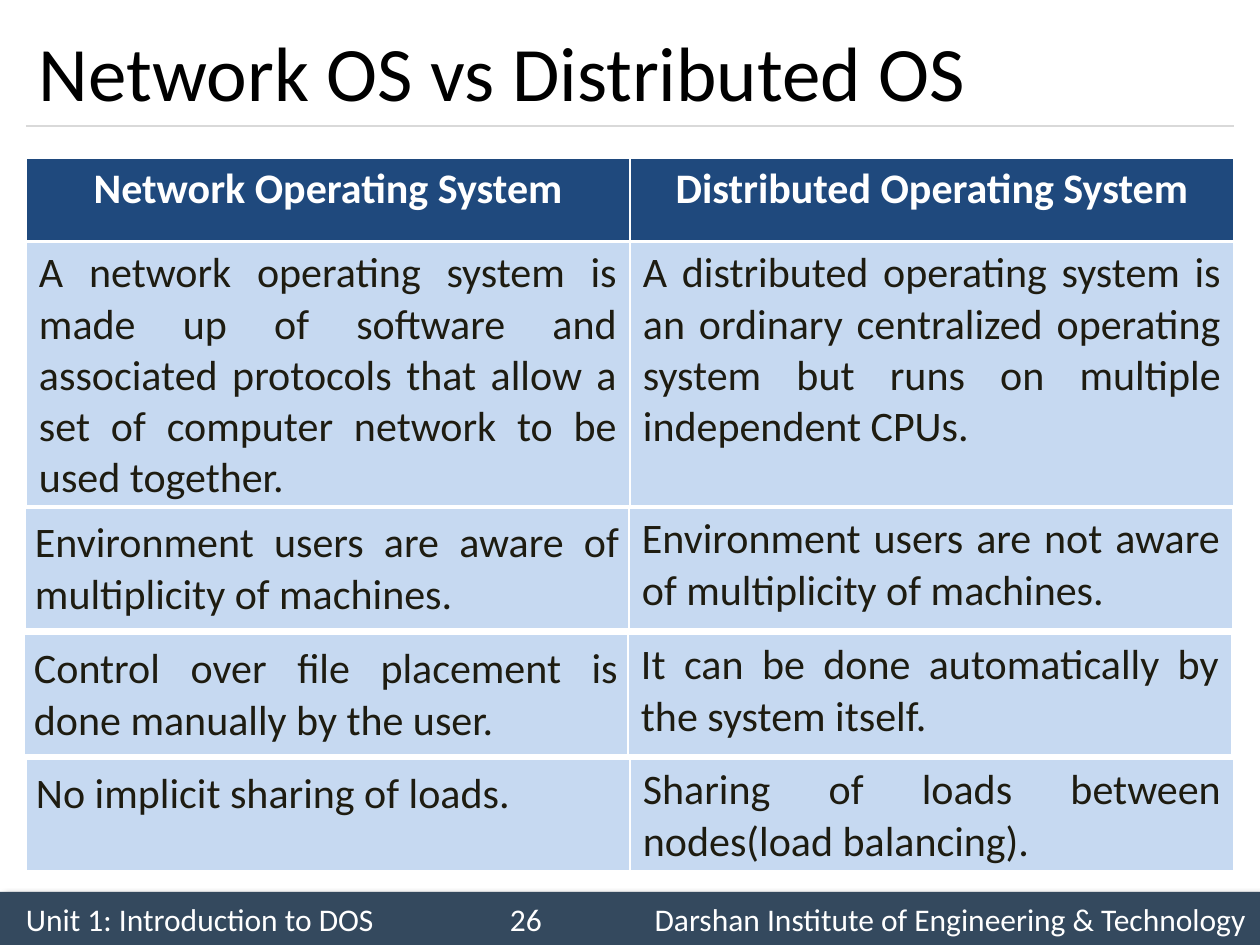
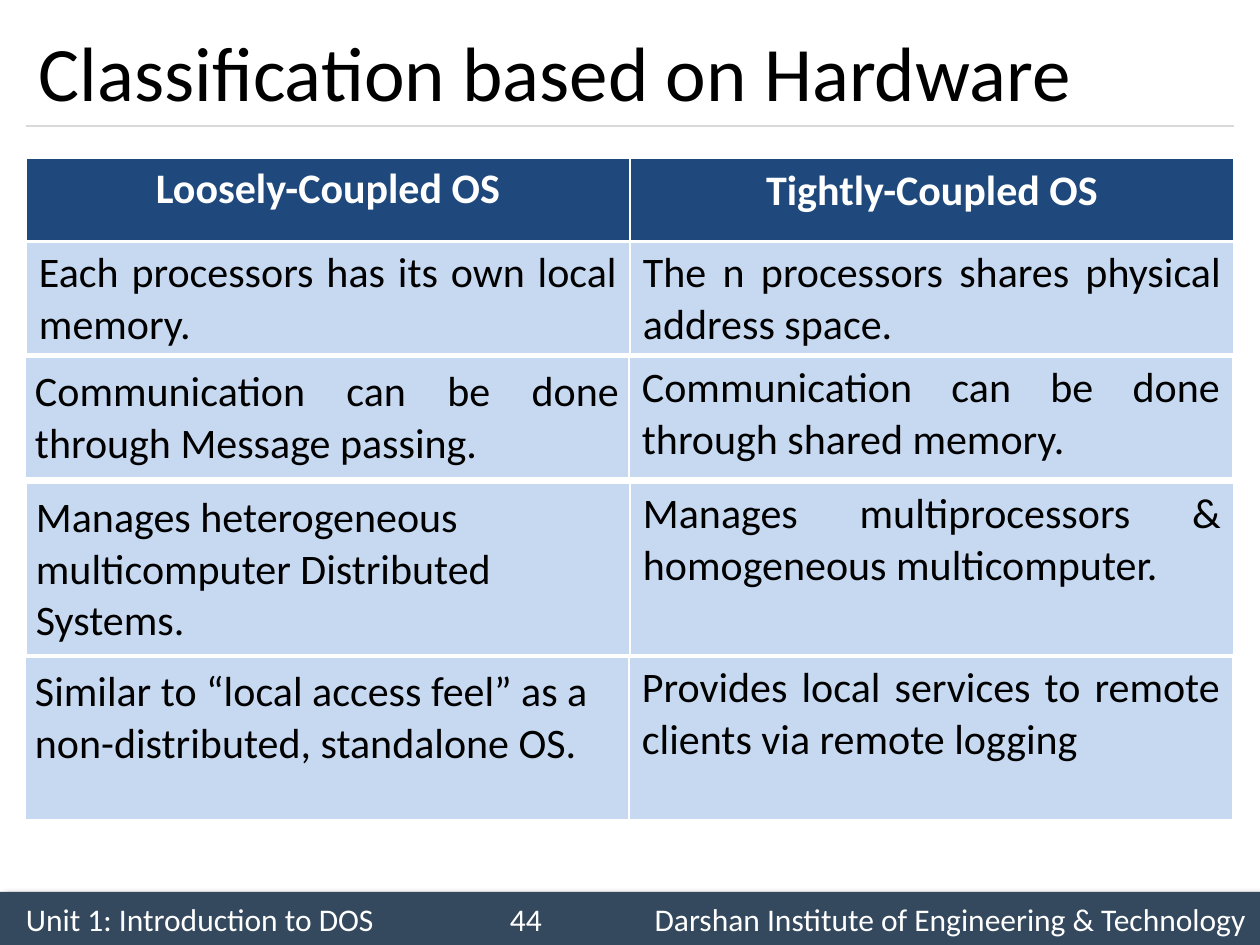
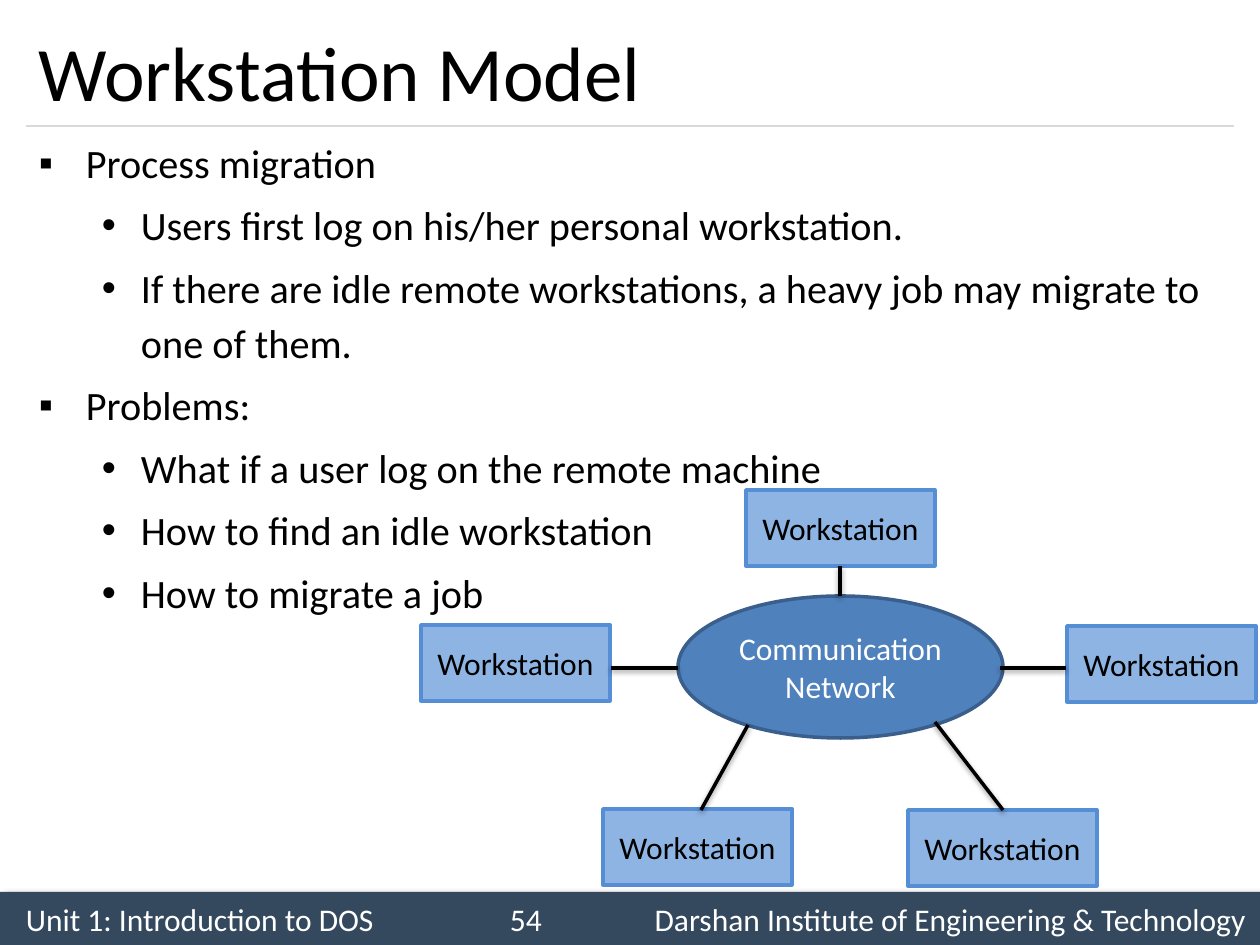
import pptx
import pptx.dml.color
import pptx.enum.shapes
import pptx.enum.text
import pptx.oxml
import pptx.oxml.ns
import pptx.util
from lxml import etree

SHAPE = pptx.enum.shapes.MSO_SHAPE
ANCHOR = pptx.enum.text.MSO_ANCHOR
ALIGN = {
    "left": pptx.enum.text.PP_ALIGN.LEFT,
    "center": pptx.enum.text.PP_ALIGN.CENTER,
    "justify": pptx.enum.text.PP_ALIGN.JUSTIFY,
}
qn = pptx.oxml.ns.qn

FONT = "Calibri"
WHITE, BLACK, INK = "FFFFFF", "000000", "1E1C11"
BAND, RULE = "34495E", "D9D9D9"
HEAD_FILL, ROW_FILL = "1F497D", "C6D9F1"
NETWORK_FILL, NETWORK_EDGE = "4F81BD", "3A5F8C"
STATION_FILL, STATION_EDGE = "8EB4E3", "558ED5"

PAGE_W, PAGE_H = 1260, 945
MARGIN, RULE_Y, BAND_Y = 26, 126, 892
CONTENT_W = PAGE_W - 2 * MARGIN
NUMBER_CENTER, FOOTER_RIGHT = 526, 1246
UNIT = "Unit 1: Introduction to DOS"
INSTITUTE = "Darshan Institute of Engineering & Technology"
BORDERS = {"lnL": 1, "lnR": 1, "lnT": 1, "lnB": 3}

# Each row: left, top, height, left text, right text, alignment of the left text
COMPARISONS = [
    {
        "title": "Network OS vs Distributed OS", "number": 26, "color": INK,
        "heads": ("Network Operating System", "Distributed Operating System"),
        "head_spacing": (1.0, 1.0),
        "rows": [
            (26, 242, 265,
             "A network operating system is made up of software and associated "
             "protocols that allow a set of computer network to be used together.",
             "A distributed operating system is an ordinary centralized operating "
             "system but runs on multiple independent CPUs.", "justify"),
            (25, 508, 122,
             "Environment users are aware of multiplicity of machines.",
             "Environment users are not aware of multiplicity of machines.", "justify"),
            (24, 634, 122,
             "Control over file placement is done manually by the user.",
             "It can be done automatically by the system itself.", "justify"),
            (26, 759, 113,
             "No implicit sharing of loads.",
             "Sharing of loads between nodes(load balancing).", "justify"),
        ],
    },
    {
        "title": "Classification based on Hardware", "number": 44, "color": BLACK,
        "heads": ("Loosely-Coupled OS", "Tightly-Coupled OS"),
        "head_spacing": (1.0, 1.04),
        "rows": [
            (26, 242, 113,
             "Each processors has its own local memory.",
             "The n processors shares physical address space.", "justify"),
            (25, 357, 122,
             "Communication can be done through Message passing.",
             "Communication can be done through shared memory.", "justify"),
            (26, 483, 173,
             "Manages heterogeneous multicomputer Distributed Systems.",
             "Manages multiprocessors & homogeneous multicomputer.", "justify_right"),
            (25, 657, 164,
             "Similar to “local access feel” as a non-distributed, standalone OS.",
             "Provides local services to remote clients via remote logging",
             "justify_right"),
        ],
    },
]

WORKSTATION_TITLE, WORKSTATION_NUMBER = "Workstation Model", 54
POINTS = [
    (0, "Process migration"),
    (1, "Users first log on his/her personal workstation."),
    (1, "If there are idle remote workstations, a heavy job may migrate to one of them."),
    (0, "Problems:"),
    (1, "What if a user log on the remote machine"),
    (1, "How to find an idle workstation"),
    (1, "How to migrate a job"),
]
BULLETS = [("▪", 47, 47), ("•", 102, 39)]  # sign, text indent, hang
NETWORK = (678, 596, 325, 142)
STATION_W, STATION_H = 189, 76
STATIONS = [(421, 625), (603, 809), (1067, 626), (746, 490), (908, 810)]
LINKS = [
    ((840, 596), (840, 566)),
    ((701, 810), (748, 725)),
    ((678, 668), (611, 668)),
    ((1066, 668), (1000, 668)),
    ((1003, 810), (935, 722)),
]


def px(length):
    return pptx.util.Emu(round(length * 914400 / 126))


def rgb(value):
    return pptx.dml.color.RGBColor.from_string(value)


def apply(target, values):
    for name, value in values.items():
        setattr(target, name, value)


def set_insets(frame, left=13, top=6, right=13, bottom=6):
    apply(frame, {"margin_left": px(left), "margin_top": px(top),
                  "margin_right": px(right), "margin_bottom": px(bottom)})


def write(para, text, size, color, align="left", bold=False, spacing=None):
    para.alignment = ALIGN[align]
    if spacing:
        para.line_spacing = spacing
    span = para.add_run()
    span.text = text
    apply(span.font, {"name": FONT, "size": pptx.util.Pt(size), "bold": bold})
    span.font.color.rgb = rgb(color)


def set_shadow(item, alpha, blur, distance, angle):
    """Replace the theme's shadow by one of the given strength."""
    properties = item._element.spPr
    effects = properties.find(qn("a:effectLst"))
    if effects is None:
        effects = etree.SubElement(properties, qn("a:effectLst"))
    shadow = etree.SubElement(effects, qn("a:outerShdw"), {
        "blurRad": str(pptx.util.Pt(blur)), "dist": str(pptx.util.Pt(distance)),
        "dir": str(angle * 60000), "rotWithShape": "0"})
    color = etree.SubElement(shadow, qn("a:srgbClr"), val=BLACK)
    etree.SubElement(color, qn("a:alpha"), val=str(alpha * 1000))


def add_line(page, start, end, color, width):
    line = page.shapes.add_connector(
        pptx.enum.shapes.MSO_CONNECTOR.STRAIGHT, *map(px, (*start, *end)))
    line.line.color.rgb = rgb(color)
    line.line.width = pptx.util.Pt(width)
    return line


def add_block(page, kind, area, fill, edge, color, lines):
    """Add a filled shape with centred text; no edge when edge is None."""
    block = page.shapes.add_shape(kind, *map(px, area))
    block.shadow.inherit = False
    block.fill.solid()
    block.fill.fore_color.rgb = rgb(fill)
    if edge:
        block.line.color.rgb = rgb(edge)
        block.line.width = pptx.util.Pt(2)
    else:
        block.line.fill.background()
    frame = block.text_frame
    apply(frame, {"word_wrap": True, "vertical_anchor": ANCHOR.MIDDLE})
    set_insets(frame)
    for index, text in enumerate(lines):
        para = frame.add_paragraph() if index else frame.paragraphs[0]
        write(para, text, 18, color, "center")
    return block


def add_text_box(page, area, anchor):
    frame = page.shapes.add_textbox(*map(px, area)).text_frame
    apply(frame, {"word_wrap": True, "vertical_anchor": anchor})
    set_insets(frame)
    return frame


def add_footer(page, number):
    band = add_block(page, SHAPE.RECTANGLE, (0, BAND_Y, PAGE_W, PAGE_H - BAND_Y),
                     BAND, None, WHITE, [])
    set_shadow(band, 40, 4, 3, 45)
    set_insets(band.text_frame, MARGIN, 6, 0, 6)
    para = band.text_frame.paragraphs[0]
    tabs = etree.SubElement(para._p.get_or_add_pPr(), qn("a:tabLst"))
    for place, align in ((NUMBER_CENTER, "ctr"), (FOOTER_RIGHT, "r")):
        etree.SubElement(tabs, qn("a:tab"), pos=str(px(place - MARGIN)), algn=align)
    write(para, f"{UNIT}\t{number}\t{INSTITUTE}", 18, WHITE)


def add_page(deck, title, number):
    page = deck.slides.add_slide(deck.slide_layouts[6])
    add_footer(page, number)
    rule = add_line(page, (MARGIN, RULE_Y), (PAGE_W - MARGIN, RULE_Y), RULE, 0.75)
    etree.SubElement(rule._element.spPr, qn("a:effectLst"))
    heading = add_text_box(page, (MARGIN, 15, CONTENT_W, 111), ANCHOR.MIDDLE)
    write(heading.paragraphs[0], title, 44, BLACK)
    return page


def add_borders(cell):
    properties = cell._tc.get_or_add_tcPr()
    for side, width in BORDERS.items():
        border = etree.SubElement(properties, qn("a:" + side), w=str(pptx.util.Pt(width)))
        fill = etree.SubElement(border, qn("a:solidFill"))
        etree.SubElement(fill, qn("a:srgbClr"), val=WHITE)


def add_row(page, left, top, height, fill, cells):
    """Add a one-row table; cells hold text, text format and insets."""
    table = page.shapes.add_table(
        1, len(cells), *map(px, (left, top, CONTENT_W, height))).table
    apply(table, {"first_row": False, "horz_banding": False})
    for cell, (text, style, insets) in zip(table.rows[0].cells, cells):
        add_borders(cell)
        cell.fill.solid()
        cell.fill.fore_color.rgb = rgb(fill)
        set_insets(cell, *insets)
        write(cell.text_frame.paragraphs[0], text, 24, **style)


def add_comparison(deck, content):
    page = add_page(deck, content["title"], content["number"])
    heads = [(text, {"color": WHITE, "align": "center", "bold": True, "spacing": spacing}, ())
             for text, spacing in zip(content["heads"], content["head_spacing"])]
    add_row(page, MARGIN, 158, 84, HEAD_FILL, heads)
    for index, (left, top, height, first, second, align) in enumerate(content["rows"]):
        first_align = "left" if align == "justify_right" else "justify"
        color = content["color"]
        add_row(page, left, top, height, ROW_FILL, [
            (first, {"color": color, "align": first_align}, (10,) * 4 if index else ()),
            (second, {"color": color, "align": "justify"}, ()),
        ])


def add_points(page):
    frame = add_text_box(page, (MARGIN, RULE_Y, CONTENT_W, BAND_Y - RULE_Y), ANCHOR.TOP)
    for index, (level, text) in enumerate(POINTS):
        para = frame.add_paragraph() if index else frame.paragraphs[0]
        sign, indent, hang = BULLETS[level]
        properties = para._p.get_or_add_pPr()
        properties.set("marL", str(px(indent)))
        properties.set("indent", str(-px(hang)))
        etree.SubElement(properties, qn("a:buFont"), typeface="Arial")
        etree.SubElement(properties, qn("a:buChar"), char=sign)
        para.level = level
        para.space_before = pptx.util.Pt(4.6 if index else 0)
        write(para, text, 23, BLACK, spacing=1.13)


def add_workstation_model(deck):
    page = add_page(deck, WORKSTATION_TITLE, WORKSTATION_NUMBER)
    add_points(page)
    add_block(page, SHAPE.OVAL, NETWORK, NETWORK_FILL, NETWORK_EDGE, WHITE,
              ["Communication", "Network"])
    for left, top in STATIONS:
        add_block(page, SHAPE.RECTANGLE, (left, top, STATION_W, STATION_H),
                  STATION_FILL, STATION_EDGE, BLACK, ["Workstation"])
    for start, end in LINKS:
        set_shadow(add_line(page, start, end, BLACK, 2), 38, 3.1, 1.6, 90)


def main():
    deck = pptx.Presentation()
    apply(deck, {"slide_width": px(PAGE_W), "slide_height": px(PAGE_H)})
    for content in COMPARISONS:
        add_comparison(deck, content)
    add_workstation_model(deck)
    deck.save("out.pptx")


if __name__ == "__main__":
    main()
